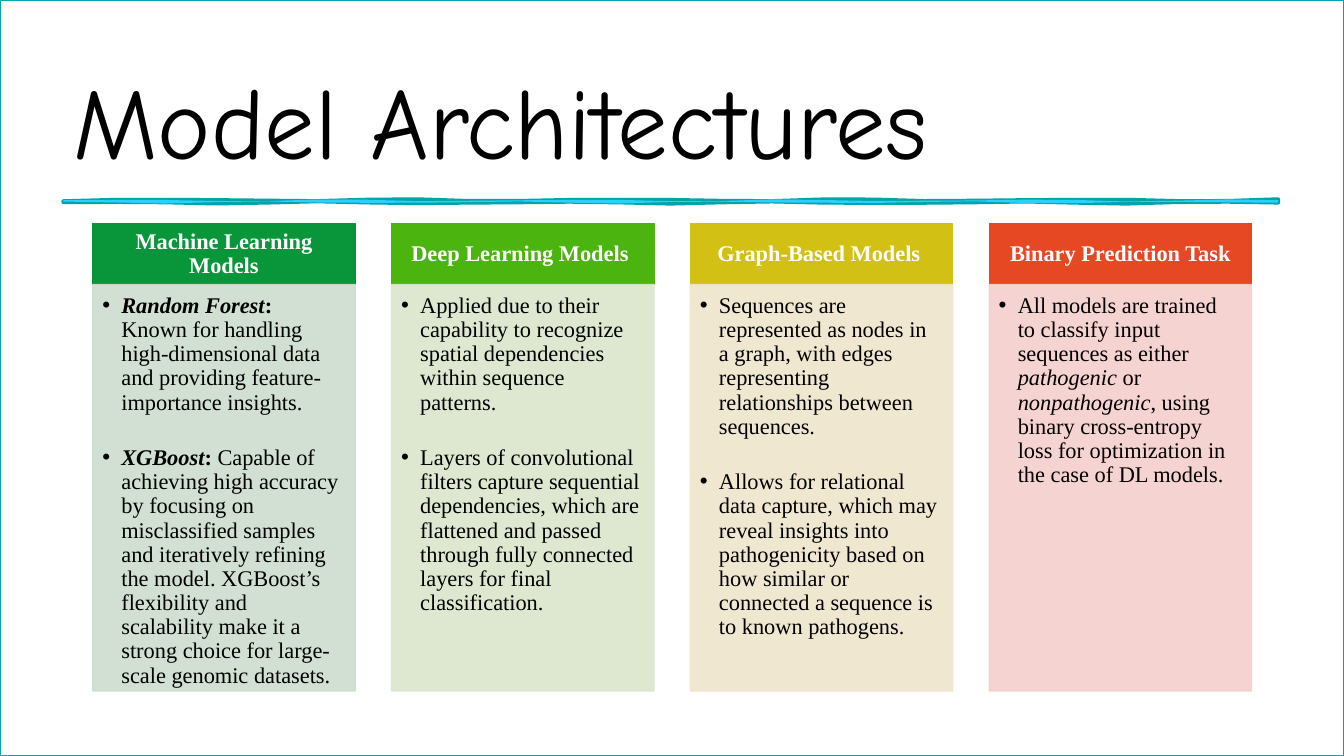
from dataclasses import dataclass
from math import sin

from lxml.etree import SubElement
from pptx import Presentation
from pptx.dml.color import RGBColor
from pptx.enum.shapes import MSO_SHAPE as Preset
from pptx.enum.text import MSO_ANCHOR as Anchor, MSO_AUTO_SIZE as AutoSize, PP_ALIGN as Align
from pptx.oxml.ns import qn
from pptx.util import Cm, Pt

WIDTH, HEIGHT = 33.87, 19.05
MARGIN, CONTENT_WIDTH = 1.6, 30.61
COLUMN_LEFT, COLUMN_STEP, COLUMN_WIDTH = 2.34, 7.53, 6.61
HEADING_TOP, HEADING_HEIGHT, PANEL_HEIGHT = 5.64, 1.53, 10.24
TEAL, SKY = "00A5AB", "2BD0FF"
BODY_FONT = "Times New Roman"


@dataclass(frozen=True)
class Span:
    text: str
    bold: bool = False
    italic: bool = False


@dataclass(frozen=True)
class Column:
    heading: str
    dark: str
    light: str
    bullets: list[list[Span]]


COLUMNS = [
    Column("Machine Learning Models", "09963B", "CCDDCE", [
        [Span("Random Forest", True, True), Span(":", True),
         Span(" Known for handling high-dimensional data and providing "
              "feature-importance insights.")],
        [Span("XGBoost", True, True), Span(": ", True),
         Span("Capable of achieving high accuracy by focusing on misclassified samples "
              "and iteratively refining the model. XGBoost’s flexibility and scalability "
              "make it a strong choice for large-scale genomic datasets.")]]),
    Column("Deep Learning Models ", "4BB40E", "DBE6CB", [
        [Span("Applied due to their capability to recognize spatial dependencies "
              "within sequence patterns.")],
        [Span("Layers of convolutional filters capture sequential dependencies, which are "
              "flattened and passed through fully connected layers for final "
              "classification.")]]),
    Column("Graph-Based Models ", "D2C114", "EEE5CB", [
        [Span("Sequences are represented as nodes in a graph, with edges representing "
              "relationships between sequences.")],
        [Span("Allows for relational data capture, which may reveal insights into "
              "pathogenicity based on how similar or connected a sequence is to known "
              "pathogens.")]]),
    Column("Binary Prediction Task", "E64823", "F5CFCD", [
        [Span("All models are trained to classify input sequences as either "),
         Span("pathogenic", italic=True), Span(" or "), Span("nonpathogenic", italic=True),
         Span(", using binary cross-entropy loss for optimization in the case of "
              "DL models.")]]),
]


def colour(value: str) -> RGBColor:
    return RGBColor.from_string(value)


def paint(shape, fill: str, line: str, weight: float = 1) -> None:
    shape.shadow.inherit = False
    for part, value in ((shape.fill, fill), (shape.line.fill, line)):
        part.solid()
        part.fore_color.rgb = colour(value)
    shape.line.width = Pt(weight)


def fade(shape, percent: int) -> None:
    """Set the opacity of every solid colour of the shape's fill and line."""
    for tone in shape.element.spPr.iter(qn("a:srgbClr")):
        SubElement(tone, qn("a:alpha"), val=str(percent * 1000))


def add_box(slide, left: float, top: float, width: float, height: float, tone: str, line: str):
    box = slide.shapes.add_shape(Preset.RECTANGLE, Cm(left), Cm(top), Cm(width), Cm(height))
    paint(box, tone, line)
    return box


def set_frame(shape, anchor, left: float, top: float, right: float, bottom: float):
    """Set wrapping, anchor and insets, and return the text frame."""
    frame = shape.text_frame
    frame.word_wrap = True
    frame.auto_size = AutoSize.NONE
    frame.vertical_anchor = anchor
    frame.margin_left, frame.margin_top = Cm(left), Cm(top)
    frame.margin_right, frame.margin_bottom = Cm(right), Cm(bottom)
    return frame


def write(para, text: str, *, size: float = 16, font: str = BODY_FONT, tone: str = "000000",
          bold: bool = False, italic: bool = False) -> None:
    span = para.add_run()
    span.text = text
    span.font.size, span.font.name = Pt(size), font
    span.font.bold, span.font.italic = bold, italic
    span.font.color.rgb = colour(tone)


def add_bullet(para) -> None:
    props = para._p.get_or_add_pPr()
    props.set("marL", str(Cm(0.48)))
    props.set("indent", str(Cm(-0.48)))
    SubElement(props, qn("a:buFont"), typeface="Arial")
    SubElement(props, qn("a:buChar"), char="•")


def add_title(slide, text: str) -> None:
    title = slide.shapes.title
    title.left, title.top = Cm(MARGIN), Cm(0.71)
    title.width, title.height = Cm(CONTENT_WIDTH), Cm(3.99)
    para = set_frame(title, Anchor.BOTTOM, 0.25, 0.13, 0.25, 0.13).paragraphs[0]
    para.alignment = Align.LEFT
    para.line_spacing = 0.9
    write(para, text, size=72, font="Comic Neue")


def rippled_strip(phase: float) -> list[tuple[int, int]]:
    """Return the outline of a thin strip whose two edges wave."""
    def ripple(x: float, shift: float) -> float:
        return 0.02 * sin(1.1 * x + shift) + 0.01 * sin(1.7 * x + 2 * shift)

    steps = 24
    across = [MARGIN + CONTENT_WIDTH * step / steps for step in range(steps + 1)]
    upper = [(Cm(x), Cm(5.05 + ripple(x, phase))) for x in across]
    lower = [(Cm(x), Cm(5.1 + ripple(x, phase + 2))) for x in reversed(across)]
    return upper + lower


def add_brush_rule(slide) -> None:
    """Draw one shape of two strips: the first only stroked, the second only filled."""
    stroked, filled = rippled_strip(0), rippled_strip(1.5)
    builder = slide.shapes.build_freeform(*stroked[0])
    builder.add_line_segments(stroked[1:], close=True)
    builder.move_to(*filled[0])
    builder.add_line_segments(filled[1:], close=True)
    rule = builder.convert_to_shape()
    paint(rule, SKY, TEAL, 3)

    outline = next(rule.element.iter(qn("a:path")))
    body = SubElement(outline.getparent(), qn("a:path"), w=outline.get("w"),
                      h=outline.get("h"), stroke="0")
    outline.set("fill", "none")
    body.extend(list(outline)[len(stroked) + 1:])


def add_column(slide, column: Column, left: float) -> None:
    heading = add_box(slide, left, HEADING_TOP, COLUMN_WIDTH, HEADING_HEIGHT,
                      column.dark, column.dark)
    para = set_frame(heading, Anchor.MIDDLE, 0.3, 0.18, 0.3, 0.18).paragraphs[0]
    para.alignment = Align.CENTER
    para.line_spacing = 0.9
    write(para, column.heading, tone="FFFFFF", bold=True)

    panel = add_box(slide, left, HEADING_TOP + HEADING_HEIGHT, COLUMN_WIDTH, PANEL_HEIGHT,
                    column.light, column.light)
    fade(panel, 90)
    frame = set_frame(panel, Anchor.TOP, 0.24, 0.24, 0.31, 0.36)
    for index, spans in enumerate(column.bullets):
        para = frame.add_paragraph() if index else frame.paragraphs[0]
        para.alignment = Align.LEFT
        para.line_spacing = 0.9
        para.space_before = Pt(22.4 if index else 0)
        add_bullet(para)
        for span in spans:
            write(para, span.text, bold=span.bold, italic=span.italic)


def main() -> None:
    deck = Presentation()
    deck.slide_width, deck.slide_height = Cm(WIDTH), Cm(HEIGHT)
    page = deck.slides.add_slide(deck.slide_layouts[5])
    backdrop = add_box(page, 0, 0, WIDTH, HEIGHT, "FFFFFF", TEAL)
    page.shapes.title.element.addprevious(backdrop.element)
    add_title(page, "Model Architectures")
    add_brush_rule(page)
    for index, column in enumerate(COLUMNS):
        add_column(page, column, COLUMN_LEFT + index * COLUMN_STEP)
    deck.save("out.pptx")


if __name__ == "__main__":
    main()
